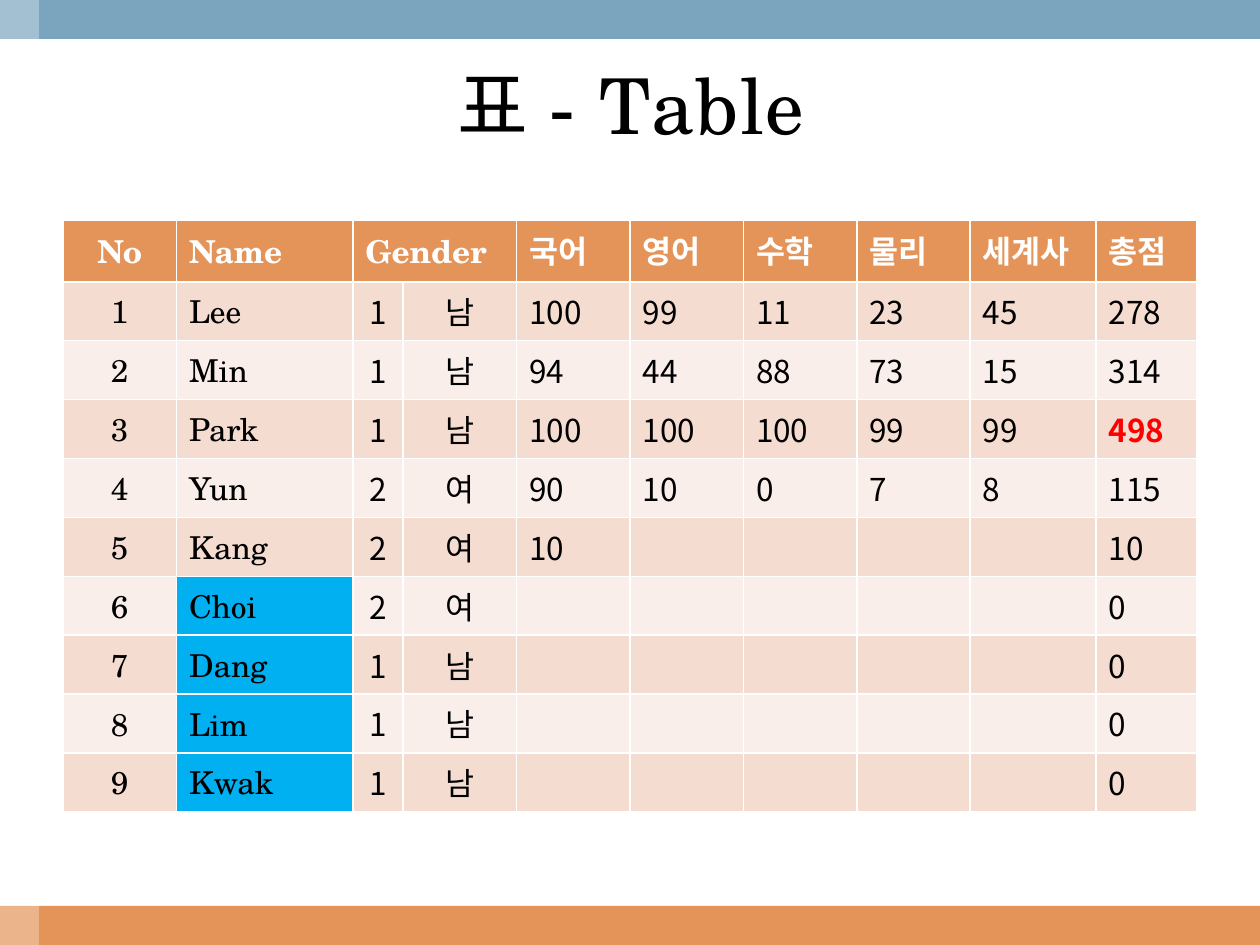
from typing import NamedTuple, Optional
from lxml.etree import SubElement as Sub
from pptx import Presentation
from pptx.dml.color import RGBColor as Rgb
from pptx.enum.shapes import MSO_SHAPE as Kind
from pptx.enum.text import MSO_ANCHOR as Anchor, PP_ALIGN as Align
from pptx.oxml.ns import qn
from pptx.util import Inches, Pt

WIDE, HIGH = 10, 7.5
BAR = 0.31
ROW = 0.41
COLS = (0.9, 1.4, 0.4, 0.9, 0.9, 0.9, 0.9, 0.9, 1, 0.8)
SERIF, SANS = "TeX Gyre Schola", "Noto Sans CJK KR"
HUES = {
    "blue": "7BA5BE", "orange": "E49458", "odd": "F5DCD1", "even": "FAEEEA",
    "mark": "00B0F0", "red": "FF0000", "white": "FFFFFF", "black": "000000",
}
SEX = {1: "남", 2: "여"}
HEADS = ("No", "Name", "Gender", "", "국어", "영어", "수학", "물리", "세계사", "총점")


class Band(NamedTuple):
    left: float
    top: float
    width: float
    height: float
    hue: str
    alpha: Optional[int] = None


class Pupil(NamedTuple):
    name: str
    sex: int
    marks: tuple = ()
    lit: bool = False


BANDS = (
    Band(0, 1 - BAR / HIGH, 1, BAR / HIGH, "orange"),
    Band(0, 0, 1, BAR / HIGH, "blue"),
    Band(0, 0, BAR / WIDE, 1, "white", 30),
)
PUPILS = (
    Pupil("Lee", 1, (100, 99, 11, 23, 45)),
    Pupil("Min", 1, (94, 44, 88, 73, 15)),
    Pupil("Park", 1, (100, 100, 100, 99, 99)),
    Pupil("Yun", 2, (90, 10, 0, 7, 8)),
    Pupil("Kang", 2, (10,)),
    Pupil("Choi", 2, lit=True),
    Pupil("Dang", 1, lit=True),
    Pupil("Lim", 1, lit=True),
    Pupil("Kwak", 1, lit=True),
)


def paint(fill, hue: str) -> None:
    fill.solid()
    fill.fore_color.rgb = Rgb.from_string(HUES[hue])


def write(frame, text: str, size: float, face: str, hue: str = "black",
          bold: bool = False, mid: bool = False):
    para = frame.paragraphs[0]
    para.alignment = Align.CENTER if mid else Align.LEFT
    run = para.add_run()
    run.text = text
    font = run.font
    font.size, font.name, font.bold = Pt(size), face, bold
    font.color.rgb = Rgb.from_string(HUES[hue])
    Sub(font._element, qn("a:ea")).set("typeface", SANS)
    return run


def draw_band(slide, band: Band) -> None:
    shape = slide.shapes.add_shape(
        Kind.RECTANGLE, Inches(band.left * WIDE), Inches(band.top * HIGH),
        Inches(band.width * WIDE), Inches(band.height * HIGH))
    shape.shadow.inherit = False
    shape.line.fill.background()
    paint(shape.fill, band.hue)
    if band.alpha:
        tone = shape.fill._xPr.find(".//" + qn("a:srgbClr"))
        Sub(tone, qn("a:alpha")).set("val", str(band.alpha * 1000))


def draw_head(table) -> None:
    table.cell(0, 2).merge(table.cell(0, 3))
    for col, text in enumerate(HEADS):
        cell = table.cell(0, col)
        paint(cell.fill, "orange")
        if text:
            write(cell.text_frame, text, 18, SERIF, "white", True, col == 0)


def draw_pupil(table, row: int, pupil: Pupil, best: int) -> None:
    total = sum(pupil.marks)
    gaps = ("",) * (5 - len(pupil.marks))
    items = (row, pupil.name, pupil.sex, SEX[pupil.sex], *pupil.marks, *gaps, total)
    for col, item in enumerate(items):
        cell = table.cell(row, col)
        lit = pupil.lit and col == 1
        paint(cell.fill, "mark" if lit else "odd" if row % 2 else "even")
        top = col == len(COLS) - 1 and total == best
        if item != "":
            write(cell.text_frame, str(item), 18, SERIF if col < 2 else SANS,
                  "red" if top else "black", top, col in (0, 2, 3))


def draw_table(slide) -> None:
    count = len(PUPILS) + 1
    table = slide.shapes.add_table(
        count, len(COLS), Inches(0.05 * WIDE), Inches(1.75),
        Inches(sum(COLS)), Inches(ROW * count)).table
    for col, width in zip(table.columns, COLS):
        col.width = Inches(width)
    for line in table.rows:
        line.height = Inches(ROW)
    draw_head(table)
    best = max(sum(pupil.marks) for pupil in PUPILS)
    for row, pupil in enumerate(PUPILS, 1):
        draw_pupil(table, row, pupil, best)


def draw_title(slide) -> None:
    title = slide.shapes.title
    title.left, title.top = Inches(0.33), Inches(BAR)
    title.width, title.height = Inches(9.36), Inches(1.03)
    title.text_frame.vertical_anchor = Anchor.MIDDLE
    run = write(title.text_frame, "표 - Table", 44, SERIF, mid=True)
    run.font._element.set("spc", "100")
    slide.shapes._spTree.append(title._element)


def main() -> None:
    deck = Presentation()
    deck.slide_width, deck.slide_height = Inches(WIDE), Inches(HIGH)
    slide = deck.slides.add_slide(deck.slide_layouts[5])
    for band in BANDS:
        draw_band(slide, band)
    draw_table(slide)
    draw_title(slide)
    deck.save("out.pptx")


if __name__ == "__main__":
    main()
